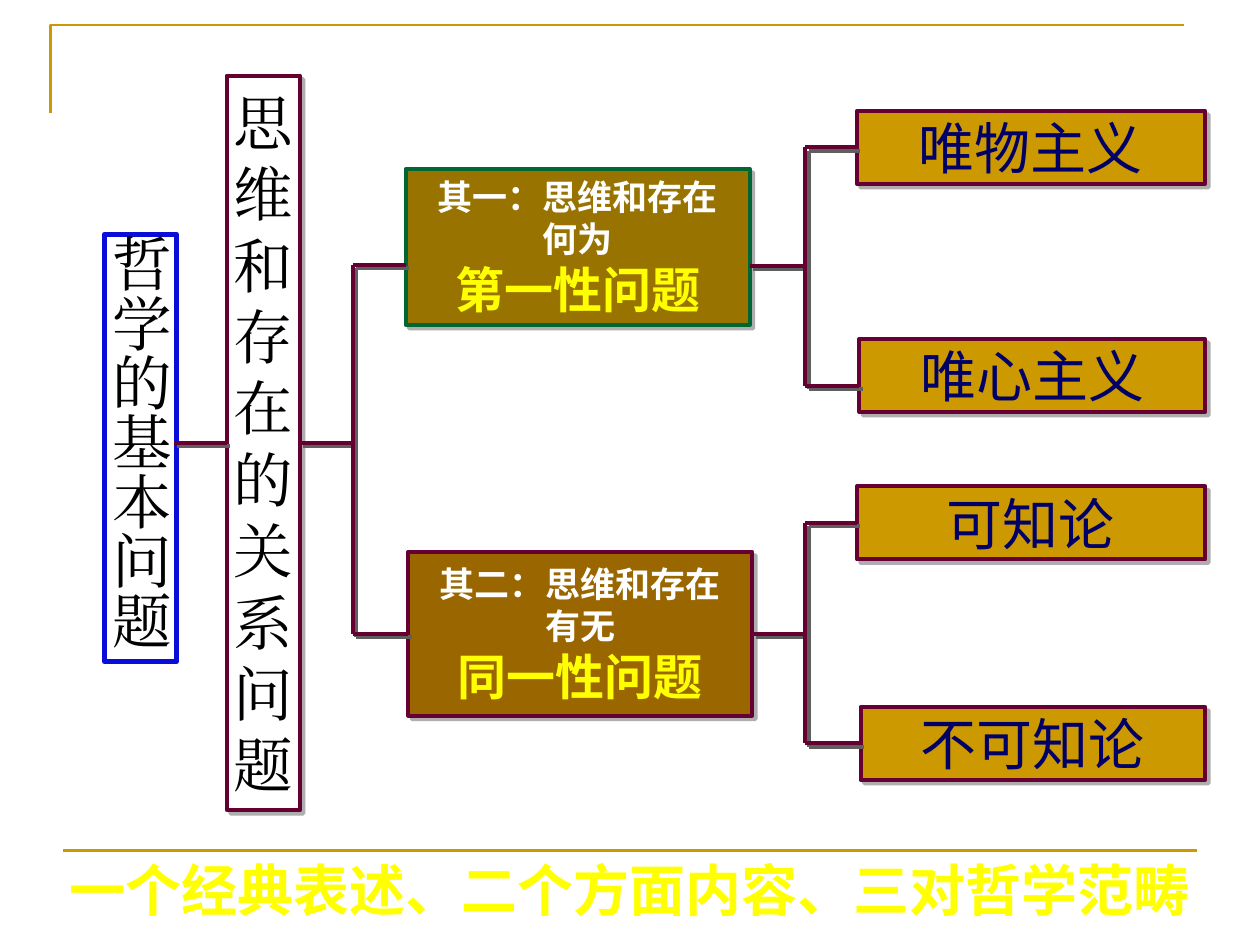
"""Build a tree slide on the basic question of philosophy."""
from lxml.etree import SubElement
from pptx import Presentation
from pptx.dml.color import RGBColor
from pptx.enum.shapes import MSO_CONNECTOR, MSO_SHAPE
from pptx.enum.text import MSO_ANCHOR, MSO_AUTO_SIZE, PP_ALIGN
from pptx.oxml.ns import qn
from pptx.util import Inches, Pt

THEME = {
    "gold": "CC9900", "plum": "660033", "green": "006633", "blue": "080DD8",
    "navy": "000066", "olive": "997300", "brown": "996600", "white": "FFFFFF",
    "black": "000000", "yellow": "FFFF00", "red": "FF0000", "shade": "5F5F5F",
    "sans": "Noto Sans CJK SC", "serif": "Times New Roman",
    "column": 34, "leaf": 32, "key": 28, "side": 20, "leading": 1.2,
    "line": 2.25, "rule": 1.5, "frame": 3,
}

prs = Presentation()
prs.slide_width, prs.slide_height = Inches(10), Inches(7.5)
COL, ROW = prs.slide_width / 100, prs.slide_height / 75
s = prs.slides.add_slide(prs.slide_layouts[6])
shadows = []


def add_text(text, x, y, w, h, size="leaf", color="navy", font="sans", bold=False,
             fill=None, line=None, weight="line", shadow=True, anchor=MSO_ANCHOR.MIDDLE,
             wrap=False, grow=False, last=None, outline=None):
    sp = s.shapes.add_shape(MSO_SHAPE.RECTANGLE, round(x * COL), round(y * ROW),
                            round(w * COL), round(h * ROW))
    sp.shadow.inherit = False
    if fill:
        sp.fill.solid()
        sp.fill.fore_color.rgb = RGBColor.from_string(THEME[fill])
    else:
        sp.fill.background()
    if line:
        sp.line.color.rgb = RGBColor.from_string(THEME[line])
        sp.line.width = Pt(THEME[weight])
    else:
        sp.line.fill.background()
    if shadow:
        shadows.append((sp._element.spPr.find(qn("a:effectLst")), 50))
    tf = sp.text_frame
    tf.word_wrap, tf.vertical_anchor = wrap, anchor
    tf.auto_size = MSO_AUTO_SIZE.SHAPE_TO_FIT_TEXT if grow else MSO_AUTO_SIZE.NONE
    words = text.split("\n")
    for i, word in enumerate(words):
        p = tf.paragraphs[0] if i == 0 else tf.add_paragraph()
        r = p.add_run()
        r.text = word
        style = last if last and i == len(words) - 1 else (size, color)
        p.alignment = PP_ALIGN.CENTER
        p.line_spacing = Pt(THEME[style[0]] * THEME["leading"])
        r.font.size, r.font.bold = Pt(THEME[style[0]]), bold
        r.font.color.rgb = RGBColor.from_string(THEME[style[1]])
        r.font.name = THEME[font]
        rPr = r.font._element
        rPr.find(qn("a:latin")).addnext(SubElement(rPr, qn("a:ea"), typeface=THEME[font]))
        if outline:
            ln = SubElement(rPr, qn("a:ln"), w=str(Pt(THEME["rule"])))
            SubElement(SubElement(ln, qn("a:solidFill")), qn("a:srgbClr"), val=THEME[outline])
            rPr.insert(0, ln)
    return sp


def add_line(x1, y1, x2, y2, color="plum", weight="line", shadow=True, begin=None, end=None):
    cx = s.shapes.add_connector(MSO_CONNECTOR.STRAIGHT, round(x1 * COL), round(y1 * ROW),
                                round(x2 * COL), round(y2 * ROW))
    cx.line.color.rgb = RGBColor.from_string(THEME[color])
    cx.line.width = Pt(THEME[weight])
    effects = SubElement(cx._element.spPr, qn("a:effectLst"))
    if shadow:
        shadows.append((effects, 100))
    if begin:
        cx.begin_connect(begin, 3)
    if end:
        cx.end_connect(end, 1)


fb = s.shapes.build_freeform(4.2, 9.2, scale=(COL, ROW))
fb.add_line_segments([(4.2, 2.5), (94.2, 2.5)], close=False)
corner = fb.convert_to_shape()
corner.shadow.inherit = False
corner.fill.background()
corner.line.color.rgb = RGBColor.from_string(THEME["gold"])
corner.line.width = Pt(THEME["rule"])
add_line(5, 67.5, 95, 67.5, color="gold", weight="rule", shadow=False)

relation = add_text("\n".join("思维和存在的关系问题"), 18, 6, 5.8, 58.3, size="column",
                    color="black", font="serif", fill="white", line="plum")
side = dict(size="side", color="white", bold=True, last=("key", "yellow"))
first = add_text("其一：思维和存在\n何为\n第一性问题", 32.2, 13.4, 27.3, 12.4, fill="olive",
                 line="green", anchor=MSO_ANCHOR.TOP, wrap=True, grow=True, **side)
second = add_text("其二：思维和存在\n有无\n同一性问题", 32.4, 43.8, 27.3, 13,
                  fill="brown", line="plum", **side)
leaves = [add_text(name, x, y, 95.65 - x, 5.8, fill="gold", line="plum")
          for name, x, y in [("唯物主义", 68, 8.8), ("唯心主义", 68.2, 26.9),
                             ("可知论", 68, 38.6), ("不可知论", 68.3, 56.1)]]
basic = add_text("哲学的基本问题", 8.3, 18.6, 5.7, 33.9, size="column", color="black",
                 font="serif", fill="white", line="blue", weight="frame", shadow=False,
                 anchor=MSO_ANCHOR.TOP, wrap=True, grow=True)
tf = basic.text_frame
tf.margin_left = tf.margin_right = tf.margin_top = tf.margin_bottom = 0
tf._txBody.bodyPr.set("vert", "eaVert")

TRUNK, FORK = 28, 63.9
add_line(13.8, 35.15, 18, 35.15, end=relation)
add_line(23.8, 35.15, TRUNK, 35.15, begin=relation)
add_line(TRUNK, 21, TRUNK, 50.3)
add_line(TRUNK, 21, 32.2, 21)
add_line(TRUNK, 50.3, 32.4, 50.3, end=second)
add_line(59.5, 21.1, FORK, 21.1)
add_line(59.7, 50.3, FORK, 50.3, begin=second)
for top, bottom in [(11.7, 30.6), (41.5, 59)]:
    add_line(FORK, top, FORK, bottom)
for y, leaf, joined in zip((11.7, 30.6, 41.5, 59), leaves, (True, False, True, True)):
    add_line(FORK, y, 68.2, y, end=leaf if joined else None)

add_text("一个经典表述、二个方面内容、三对哲学范畴", 0, 67.4, 100, 6.4, color="yellow",
         bold=True, shadow=False, anchor=MSO_ANCHOR.TOP, wrap=True, grow=True, outline="red")

for effects, alpha in shadows:
    outer = SubElement(effects, qn("a:outerShdw"), dist=str(Pt(2.8)), dir=str(45 * 60000),
                       algn="ctr", rotWithShape="0")
    tint = SubElement(outer, qn("a:srgbClr"), val=THEME["shade"])
    SubElement(tint, qn("a:alpha"), val=str(alpha * 1000))

prs.save("out.pptx")
